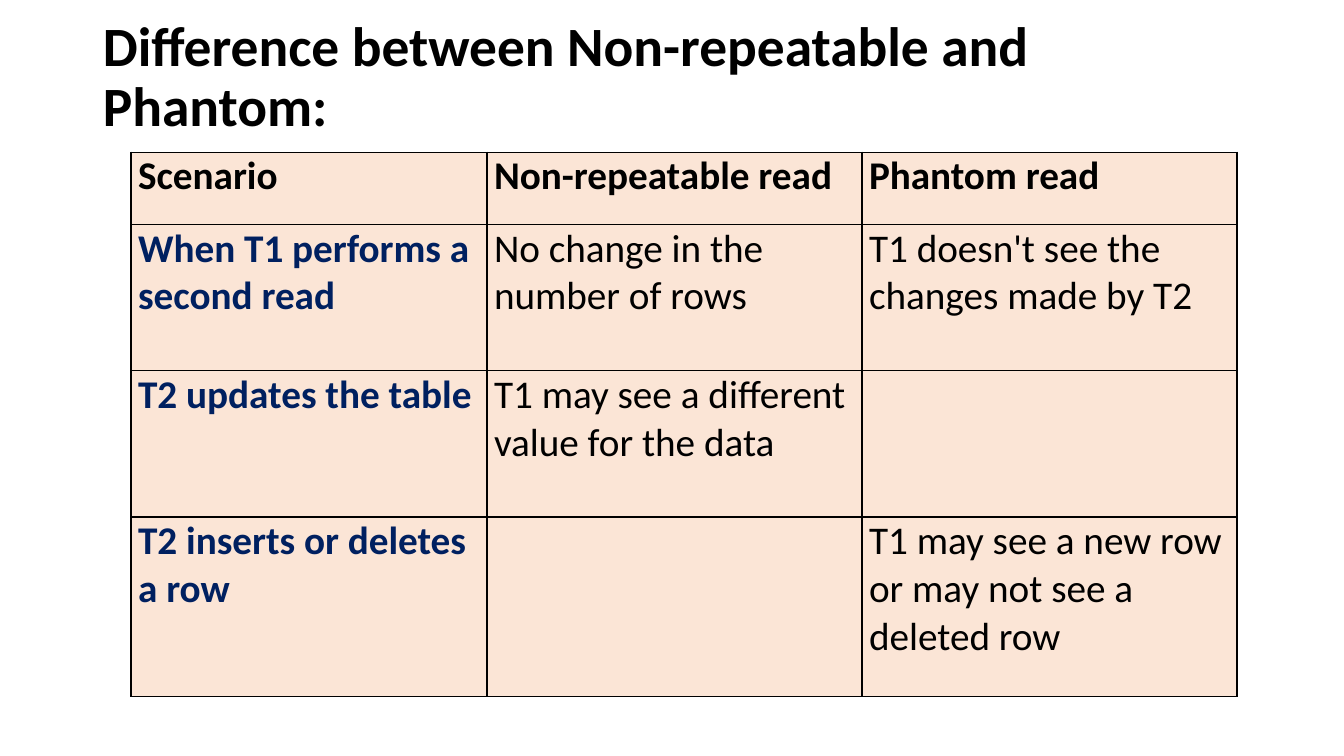
from lxml import etree
from pptx import Presentation
from pptx.dml.color import RGBColor
from pptx.enum.text import MSO_ANCHOR, MSO_AUTO_SIZE, PP_ALIGN
from pptx.oxml.ns import qn
from pptx.util import Inches, Pt

MIDDLE = MSO_ANCHOR.MIDDLE
NO_FIT = MSO_AUTO_SIZE.NONE
LEFT = PP_ALIGN.LEFT
TITLE_ONLY = 5

COLORS = {"text": "000000", "scenario": "002060", "cell": "FBE5D6", "border": "000000"}

HEADING = "Difference between Non-repeatable and Phantom:"
COMPARISON = [
    ["Scenario", "Non-repeatable read", "Phantom read"],
    ["When T1 performs a second read", "No change in the number of rows",
     "T1 doesn't see the changes made by T2"],
    ["T2 updates the table", "T1 may see a different value for the data", ""],
    ["T2 inserts or deletes a row", "",
     "T1 may see a new row or may not see a deleted row"],
]
COLUMN_WIDTHS = [3.53, 3.72, 3.72]
ROW_HEIGHTS = [0.72, 1.45, 1.45, 1.78]


class SlideBuilder:
    font_name = "Calibri"
    title_size = 39.6
    cell_size = 28
    border_width = 1

    def __init__(self, presentation):
        self.slide = presentation.slides.add_slide(presentation.slide_layouts[TITLE_ONLY])

    def style(self, paragraph, size, color, bold):
        paragraph.alignment = LEFT
        font = paragraph.font
        font.name, font.size, font.bold = self.font_name, Pt(size), bold
        font.color.rgb = RGBColor.from_string(COLORS[color])

    def title(self, text, left, top, width, height):
        heading = self.slide.shapes.title
        heading.left, heading.top = Inches(left), Inches(top)
        heading.width, heading.height = Inches(width), Inches(height)
        frame = heading.text_frame
        frame.text = text
        frame.word_wrap = True
        frame.auto_size = NO_FIT
        frame.vertical_anchor = MIDDLE
        frame.paragraphs[0].line_spacing = 0.9
        self.style(frame.paragraphs[0], self.title_size, "text", True)

    def border(self, cell):
        """Draw all four edges; they must come before the fill in the cell properties."""
        properties = cell._tc.get_or_add_tcPr()
        for position, edge in enumerate(("a:lnL", "a:lnR", "a:lnT", "a:lnB")):
            line = etree.Element(qn(edge), w=str(Pt(self.border_width)))
            fill = etree.SubElement(line, qn("a:solidFill"))
            etree.SubElement(fill, qn("a:srgbClr"), val=COLORS["border"])
            properties.insert(position, line)

    def cell(self, cell, text, color, bold):
        cell.text = text
        cell.margin_left = cell.margin_right = Inches(0.07)
        cell.margin_top = cell.margin_bottom = 0
        cell.fill.solid()
        cell.fill.fore_color.rgb = RGBColor.from_string(COLORS["cell"])
        self.style(cell.text_frame.paragraphs[0], self.cell_size, color, bold)
        self.border(cell)

    def table(self, rows, left, top, widths, heights):
        table = self.slide.shapes.add_table(
            len(rows), len(widths), Inches(left), Inches(top),
            Inches(sum(widths)), Inches(sum(heights))).table
        table.horz_banding = False
        for column, width in zip(table.columns, widths):
            column.width = Inches(width)
        for row, height in zip(table.rows, heights):
            row.height = Inches(height)
        for r, texts in enumerate(rows):
            for c, text in enumerate(texts):
                color = "scenario" if r and not c else "text"
                self.cell(table.cell(r, c), text, color, r == 0 or c == 0)


def main():
    presentation = Presentation()
    presentation.slide_width, presentation.slide_height = Inches(13.33), Inches(7.5)
    builder = SlideBuilder(presentation)
    builder.title(HEADING, 0.92, 0.4, 11.5, 0.75)
    builder.table(COMPARISON, 1.3, 1.51, COLUMN_WIDTHS, ROW_HEIGHTS)
    presentation.save("out.pptx")


if __name__ == "__main__":
    main()
